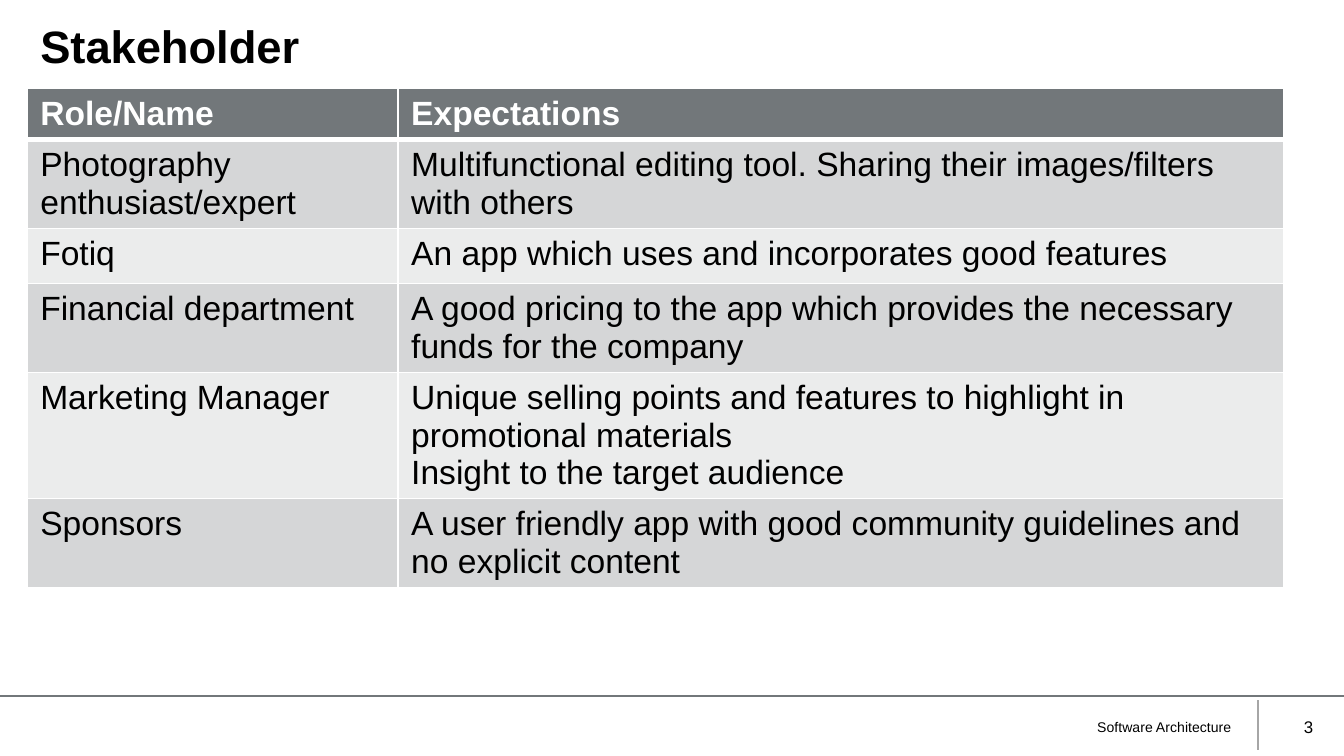
from dataclasses import dataclass

from lxml import etree
from pptx import Presentation
from pptx import util as u
from pptx.dml.color import RGBColor
from pptx.enum import shapes, text
from pptx.oxml import ns

FONT = "Arial"
COLOURS = {
    "black": "000000",
    "white": "FFFFFF",
    "slate": "72777A",
    "rule": "A6A6A6",
    "dark_band": "D5D6D7",
    "light_band": "EBECEC",
}


@dataclass(frozen=True)
class Stakeholder:
    role: str
    expectations: tuple[str, ...]
    height: float = 0.41


@dataclass(frozen=True)
class FooterText:
    words: str
    left: float
    width: float
    size: float


@dataclass(frozen=True)
class Rule:
    start: tuple[float, float]
    end: tuple[float, float]
    colour: str


HEADER = Stakeholder("Role/Name", ("Expectations",), 0.38)
STAKEHOLDERS = [
    Stakeholder(
        "Photography enthusiast/expert",
        ("Multifunctional editing tool. Sharing their images/filters with others",),
        0.46,
    ),
    Stakeholder("Fotiq", ("An app which uses and incorporates good features",)),
    Stakeholder(
        "Financial department",
        ("A good pricing to the app which provides the necessary funds for the company",),
    ),
    Stakeholder(
        "Marketing Manager",
        (
            "Unique selling points and features to highlight in promotional materials",
            "Insight to the target audience",
        ),
    ),
    Stakeholder(
        "Sponsors",
        ("A user friendly app with good community guidelines and no explicit content",),
    ),
]
COLUMN_WIDTHS = (2.76, 6.59)
RULES = [
    Rule((9.36, 5.21), (9.36, 5.58), "rule"),
    Rule((0, 5.18), (10, 5.18), "slate"),
]
FOOTER = [
    FooterText("Software Architecture", 3.05, 6.21, 7.5),
    FooterText("3", 9.34, 0.53, 9),
]


def rgb(name: str) -> RGBColor:
    return RGBColor.from_string(COLOURS[name])


def add_span(para, words: str, size: float, colour: str = "black", bold: bool = False) -> None:
    span = para.add_run()
    span.text = words
    span.font.name = FONT
    span.font.size = u.Pt(size)
    span.font.bold = bold
    span.font.color.rgb = rgb(colour)


def add_rule(page, rule: Rule) -> None:
    points = [u.Inches(value) for value in (*rule.start, *rule.end)]
    line = page.shapes.add_connector(shapes.MSO_CONNECTOR.STRAIGHT, *points)
    line.line.color.rgb = rgb(rule.colour)
    line.line.width = u.Pt(1)
    etree.SubElement(line._element.spPr, ns.qn("a:effectLst"))


def add_footer_text(page, item: FooterText) -> None:
    box = page.shapes.add_textbox(
        u.Inches(item.left), u.Inches(5.26), u.Inches(item.width), u.Inches(0.3)
    )
    frame = box.text_frame
    frame.word_wrap = True
    frame.vertical_anchor = text.MSO_ANCHOR.MIDDLE
    para = frame.paragraphs[0]
    para.alignment = text.PP_ALIGN.RIGHT
    add_span(para, item.words, item.size)


def set_borders(cell, bottom: float) -> None:
    properties = cell._tc.get_or_add_tcPr()
    widths = {"lnL": 1, "lnR": 1, "lnT": 1, "lnB": bottom}
    for position, (side, width) in enumerate(widths.items()):
        border = etree.Element(ns.qn(f"a:{side}"), w=str(u.Pt(width)))
        fill = etree.SubElement(border, ns.qn("a:solidFill"))
        etree.SubElement(fill, ns.qn("a:srgbClr"), val=COLOURS["white"])
        properties.insert(position, border)


def fill_cell(cell, lines: tuple[str, ...], band: str, is_header: bool) -> None:
    cell.fill.solid()
    cell.fill.fore_color.rgb = rgb(band)
    set_borders(cell, 3 if is_header else 1)
    frame = cell.text_frame
    for index, words in enumerate(lines):
        para = frame.add_paragraph() if index else frame.paragraphs[0]
        add_span(para, words, 18, "white" if is_header else "black", is_header)


def add_stakeholder_table(page) -> None:
    entries = [HEADER, *STAKEHOLDERS]
    table = page.shapes.add_table(
        len(entries),
        len(COLUMN_WIDTHS),
        u.Inches(0.2),
        u.Inches(0.66),
        u.Inches(sum(COLUMN_WIDTHS)),
        u.Inches(sum(entry.height for entry in entries)),
    ).table
    for column, width in zip(table.columns, COLUMN_WIDTHS):
        column.width = u.Inches(width)
    for index, entry in enumerate(entries):
        table.rows[index].height = u.Inches(entry.height)
        is_header = index == 0
        band = "slate" if is_header else ("light_band", "dark_band")[index % 2]
        for column, lines in enumerate(((entry.role,), entry.expectations)):
            fill_cell(table.cell(index, column), lines, band, is_header)


# Deck and page in 16:9
deck = Presentation()
deck.slide_width = u.Inches(10)
deck.slide_height = u.Inches(10 * 9 / 16)
page = deck.slides.add_slide(deck.slide_layouts.get_by_name("Title Only"))

# Title
title = page.shapes.title
title.left, title.top = u.Inches(0.2), u.Inches(0.13)
title.width, title.height = u.Inches(9.6), u.Inches(0.48)
title.text_frame.vertical_anchor = text.MSO_ANCHOR.TOP
title.text_frame.auto_size = text.MSO_AUTO_SIZE.NONE
heading = title.text_frame.paragraphs[0]
heading.alignment = text.PP_ALIGN.LEFT
heading.line_spacing = 0.9
add_span(heading, "Stakeholder", 24.3, bold=True)

# Stakeholders and their expectations
add_stakeholder_table(page)

# Footer
for rule in RULES:
    add_rule(page, rule)
for item in FOOTER:
    add_footer_text(page, item)

deck.save("out.pptx")
